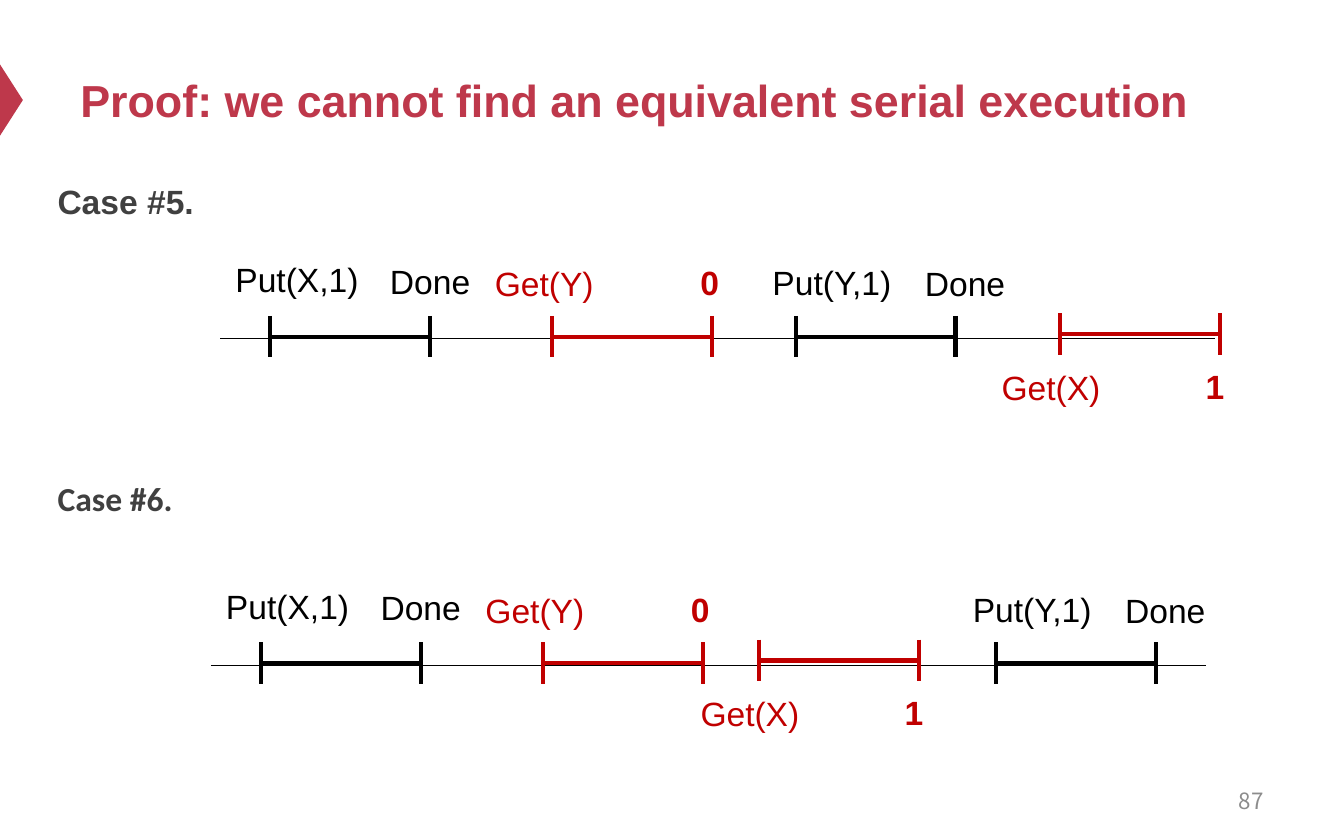
from pptx import Presentation
from pptx.dml.color import RGBColor
from pptx.enum.shapes import MSO_CONNECTOR, MSO_SHAPE
from pptx.enum.text import MSO_ANCHOR, PP_ALIGN
from pptx.oxml.ns import qn
from pptx.util import Inches, Pt
from lxml import etree

CRIMSON = RGBColor(0xBE, 0x38, 0x4B)
RED = RGBColor(0xC0, 0x00, 0x00)
BLACK = RGBColor(0x00, 0x00, 0x00)
DARK = RGBColor(0x40, 0x40, 0x40)
GRAY = RGBColor(0x8C, 0x8C, 0x8C)

SPAN = 1.19
TICK = 0.31
LABEL_W, LABEL_H = 1.28, 0.4

# name: (colour, tick top, (label, dx, dy, bold) at start, same at end)
OPERATIONS = {
    "put_x": (BLACK, -0.17, ("Put(X,1)", -0.44, -0.64, False), ("Done", 0.55, -0.63, False)),
    "get_y": (RED, -0.17, ("Get(Y)", -0.7, -0.61, False), ("0", 0.53, -0.62, True)),
    "put_y": (BLACK, -0.17, ("Put(Y,1)", -0.37, -0.62, False), ("Done", 0.62, -0.61, False)),
    "get_x": (RED, -0.19, ("Get(X)", -0.71, 0.16, False), ("1", 0.51, 0.15, True)),
}


def add_text(s, box, text, size, color, font="Arial", bold=False,
             align=PP_ALIGN.LEFT, anchor=MSO_ANCHOR.TOP, spacing=None):
    tf = s.shapes.add_textbox(*(Inches(v) for v in box)).text_frame
    tf.word_wrap = True
    tf.vertical_anchor = anchor
    p = tf.paragraphs[0]
    p.text = text
    p.alignment = align
    p.line_spacing = spacing
    p.font.size = Pt(size)
    p.font.name = font
    p.font.bold = bold
    p.font.color.rgb = color


def add_line(shapes, x1, y1, x2, y2, color, width):
    line = shapes.add_connector(
        MSO_CONNECTOR.STRAIGHT, Inches(x1), Inches(y1), Inches(x2), Inches(y2))
    line.line.color.rgb = color
    line.line.width = Pt(width)
    etree.SubElement(line._element.spPr, qn("a:effectLst"))


def add_header(s, left, top, width, height):
    marker = s.shapes.add_shape(
        MSO_SHAPE.ISOSCELES_TRIANGLE, Inches(left - 0.68), Inches(top + 0.41),
        Inches(0.53), Inches(0.17))
    marker.rotation = 90
    marker.shadow.inherit = False
    marker.fill.solid()
    marker.fill.fore_color.rgb = CRIMSON
    marker.line.fill.background()
    add_text(s, (left, top, width, height),
             "Proof: we cannot find an equivalent serial execution",
             24, CRIMSON, bold=True, anchor=MSO_ANCHOR.MIDDLE)


def add_operation(s, name, x, y):
    color, tick_top, *labels = OPERATIONS[name]
    top = y + tick_top
    middle = top + TICK / 2
    group = s.shapes.add_group_shape()
    for tick_x in (x, x + SPAN):
        add_line(group.shapes, tick_x, top, tick_x, top + TICK, color, 2.25)
    add_line(group.shapes, x, middle, x + SPAN, middle, color, 2.25)
    for text, dx, dy, bold in labels:
        add_text(s, (x + dx, y + dy, LABEL_W, LABEL_H), text, 18, color,
                 bold=bold, align=PP_ALIGN.CENTER)


def add_timeline(s, left, top, width, starts):
    add_line(s.shapes, left, top, left + width, top, BLACK, 0.75)
    for name, offset in starts.items():
        add_operation(s, name, left + offset, top)


def main():
    prs = Presentation()
    prs.slide_width, prs.slide_height = Inches(10), Inches(6.25)
    s = prs.slides.add_slide(prs.slide_layouts[6])
    add_header(s, 0.5, 0.25, 9, 0.98)
    add_text(s, (0.33, 1.24, 9, 0.53), "Case #5.", 18, DARK, bold=True, spacing=1.2)
    add_timeline(s, 1.64, 2.52, 7.4,
                 {"put_x": 0.37, "get_y": 2.47, "put_y": 4.28, "get_x": 6.25})
    add_text(s, (0.33, 3.45, 1.68, 0.69), "Case #6.", 18, DARK,
             font="Calibri", bold=True, spacing=1.2)
    add_timeline(s, 1.57, 4.95, 7.4,
                 {"put_x": 0.37, "get_y": 2.47, "put_y": 5.84, "get_x": 4.08})
    add_text(s, (7.17, 5.79, 2.33, 0.33), "87", 12, GRAY, font="Noto Sans CJK SC",
             align=PP_ALIGN.RIGHT, anchor=MSO_ANCHOR.MIDDLE)
    prs.save("out.pptx")


if __name__ == "__main__":
    main()
